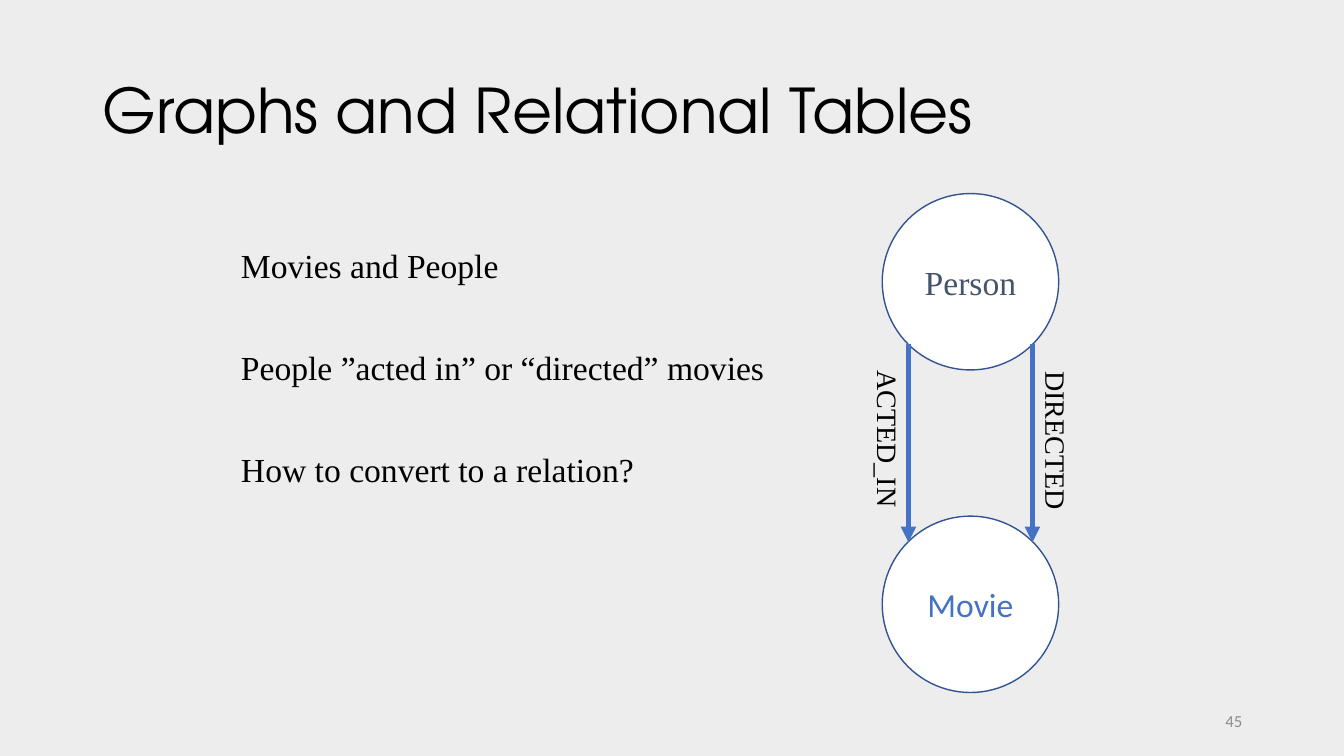
from lxml import etree
from pptx import Presentation
from pptx.dml.color import RGBColor
from pptx.enum.shapes import MSO_CONNECTOR, MSO_SHAPE
from pptx.enum.text import MSO_ANCHOR, MSO_AUTO_SIZE, PP_ALIGN
from pptx.oxml.ns import qn
from pptx.util import Inches, Pt

STRAIGHT = MSO_CONNECTOR.STRAIGHT
OVAL = MSO_SHAPE.OVAL
TOP, MIDDLE = MSO_ANCHOR.TOP, MSO_ANCHOR.MIDDLE
NO_AUTOFIT = MSO_AUTO_SIZE.NONE
LEFT, CENTER, RIGHT = PP_ALIGN.LEFT, PP_ALIGN.CENTER, PP_ALIGN.RIGHT
SERIF = "Times New Roman"
BLUE = "4472C4"


def color(value):
    return RGBColor.from_string(value)


def write(shape, text, size=24, font=SERIF, fill="000000", align=LEFT,
          anchor=MIDDLE, wrap=True, spacing=1.0, gap=0, indent=None):
    frame = shape.text_frame
    frame.auto_size = NO_AUTOFIT
    frame.word_wrap = wrap
    frame.vertical_anchor = anchor
    frame.text = text
    for index, paragraph in enumerate(frame.paragraphs):
        if indent is not None:
            properties = paragraph._p.get_or_add_pPr()
            properties.set("marL", str(Inches(indent)))
            properties.set("indent", "0")
            etree.SubElement(properties, qn("a:buNone"))
        paragraph.alignment = align
        paragraph.line_spacing = spacing
        paragraph.space_before = Pt(gap if index else 0)
        paragraph.font.size = Pt(size)
        paragraph.font.name = font
        paragraph.font.color.rgb = color(fill)


presentation = Presentation()
presentation.slide_width = Inches(13.33)
presentation.slide_height = Inches(7.5)
slide = presentation.slides.add_slide(presentation.slide_layouts[1])
slide.background.fill.solid()
slide.background.fill.fore_color.rgb = color("EDEDED")

title, body = slide.placeholders
title.left, title.top = Inches(0.92), Inches(0.4)
title.width, title.height = Inches(11.5), Inches(1.45)
write(title, "Graphs and Relational Tables", size=44, font="TeX Gyre Adventor", spacing=0.9)

body.left, body.top = Inches(2.17), Inches(2.42)
body.width, body.height = Inches(9), Inches(3.08)
points = [
    "Movies and People",
    "People ”acted in” or “directed” movies",
    "How to convert to a relation?",
]
write(body, "\n".join(points), anchor=TOP, spacing=0.9, gap=47, indent=0.12)

page_number = slide.shapes.add_textbox(Inches(9.42), Inches(6.95), Inches(3), Inches(0.4))
write(page_number, "45", size=12, font="Calibri", fill="8C8C8C", align=RIGHT)

nodes = [("Person", 1.92, SERIF, "44546A"), ("Movie", 5.12, "Calibri", BLUE)]
for name, top, font, text_color in nodes:
    node = slide.shapes.add_shape(OVAL, Inches(8.75), Inches(top), Inches(1.75), Inches(1.75))
    node.shadow.inherit = False
    node.fill.solid()
    node.fill.fore_color.rgb = color("FFFFFF")
    node.line.color.rgb = color("325491")
    node.line.width = Pt(1)
    write(node, name, font=font, fill=text_color, align=CENTER)

relationships = [
    ("ACTED_IN", 9.01, 8.01, 4.15, 1.59),
    ("DIRECTED", 10.24, 9.66, 4.18, 1.63),
]
for name, arrow_x, left, top, width in relationships:
    arrow = slide.shapes.add_connector(
        STRAIGHT, Inches(arrow_x), Inches(3.41), Inches(arrow_x), Inches(5.38))
    arrow.line.color.rgb = color(BLUE)
    arrow.line.width = Pt(3.75)
    etree.SubElement(arrow.line._get_or_add_ln(), qn("a:tailEnd"), type="triangle")
    etree.SubElement(arrow._element.spPr, qn("a:effectLst"))

    label = slide.shapes.add_textbox(Inches(left), Inches(top), Inches(width), Inches(0.44))
    label.rotation = 90
    write(label, name, size=20, anchor=TOP, wrap=False)

presentation.save("out.pptx")
